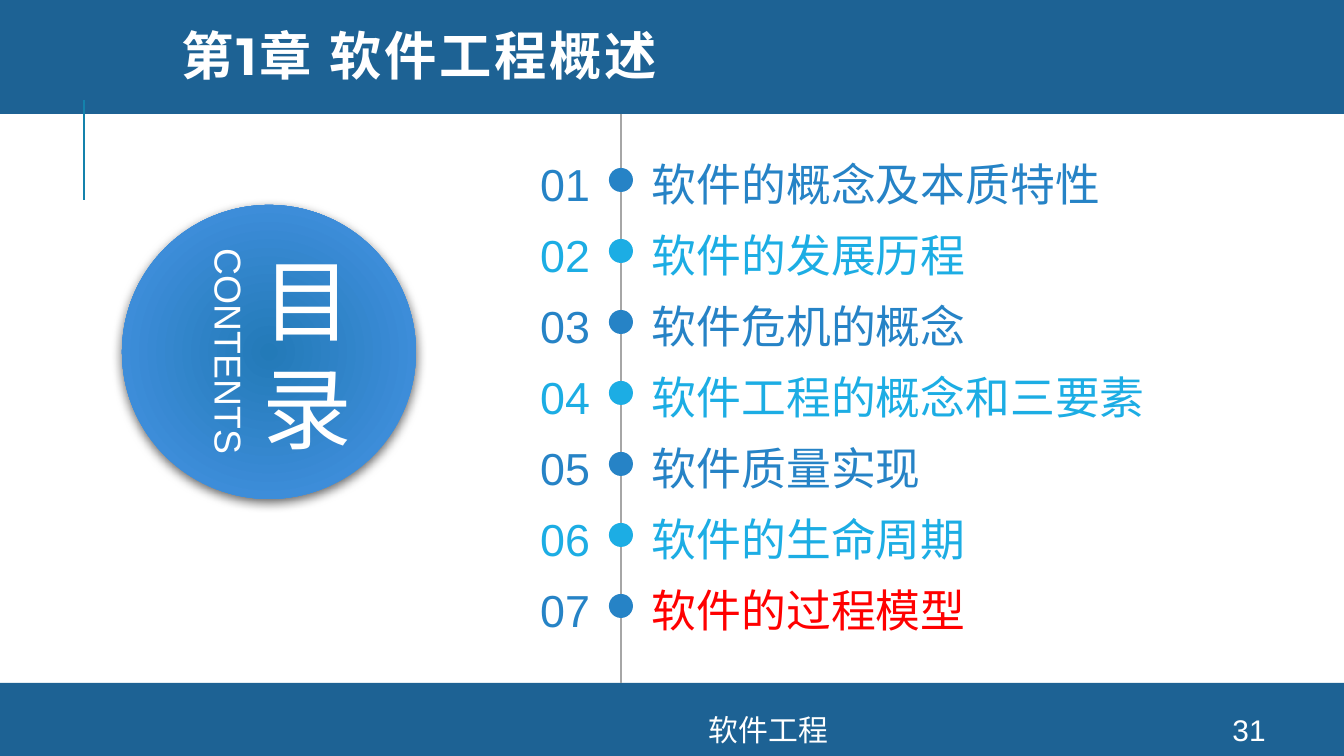
from lxml import etree
from pptx import Presentation
from pptx.dml.color import RGBColor
from pptx.enum.shapes import MSO_CONNECTOR, MSO_SHAPE
from pptx.enum.text import MSO_ANCHOR, MSO_AUTO_SIZE, PP_ALIGN
from pptx.oxml import parse_xml
from pptx.oxml.ns import nsdecls, qn
from pptx.util import Emu, Pt

# Content
TITLE = "第1章 软件工程概述"
CONTENTS = ["目", "录"]
CONTENTS_EN = "CONTENTS"
FOOTER = "软件工程"
PAGE = "31"
TOPICS = [
    "软件的概念及本质特性",
    "软件的发展历程",
    "软件危机的概念",
    "软件工程的概念和三要素",
    "软件质量实现",
    "软件的生命周期",
    "软件的过程模型",
]
CURRENT = 6  # index of the highlighted topic

# Style
WHITE = RGBColor(0xFF, 0xFF, 0xFF)
NAVY = RGBColor(0x1D, 0x62, 0x94)
TEAL = RGBColor(0x14, 0x82, 0xAC)
GREY = RGBColor(0xA6, 0xA6, 0xA6)
BLUE = RGBColor(0x26, 0x83, 0xC6)
CYAN = RGBColor(0x1C, 0xAD, 0xE4)
RED = RGBColor(0xFF, 0x00, 0x00)
RECT, OVAL = MSO_SHAPE.RECTANGLE, MSO_SHAPE.OVAL
LEFT, CENTER, RIGHT = PP_ALIGN.LEFT, PP_ALIGN.CENTER, PP_ALIGN.RIGHT
TOP, MIDDLE = MSO_ANCHOR.TOP, MSO_ANCHOR.MIDDLE

# Layout in px
ROW_TOP, ROW_STEP, ROW_H = 157, 71, 54
DOT, DOT_OFFSET = 24, 11

DISC_FILL = f"""<a:gradFill {nsdecls('a')} rotWithShape="1"><a:gsLst>
<a:gs pos="0"><a:srgbClr val="237AB8"/></a:gs>
<a:gs pos="100000"><a:srgbClr val="4895E7"/></a:gs></a:gsLst>
<a:path path="circle"><a:fillToRect l="50000" t="50000" r="50000" b="50000"/></a:path>
</a:gradFill>"""
DISC_SHADOW = f"""<a:outerShdw {nsdecls('a')} blurRad="{Pt(6)}" dist="{Pt(2)}" dir="5400000"
algn="t" rotWithShape="0"><a:srgbClr val="000000"><a:alpha val="60000"/></a:srgbClr></a:outerShdw>"""


def px(n):
    return Emu(round(n * 914400 / 134.4))


def box(*lengths):
    return [px(n) for n in lengths]


def add_filled(s, kind, at, color):
    sp = s.shapes.add_shape(kind, *box(*at))
    sp.shadow.inherit = False
    sp.fill.solid()
    sp.fill.fore_color.rgb = color
    sp.line.fill.background()
    return sp


def add_line(s, x, y1, y2, color):
    line = s.shapes.add_connector(MSO_CONNECTOR.STRAIGHT, *box(x, y1, x, y2))
    line.line.color.rgb = color
    line.line.width = Pt(1.5)
    etree.SubElement(line.element.spPr, qn("a:effectLst"))


def format_text(sp, size, color, align, anchor, font="Arial", spacing=0):
    tf = sp.text_frame
    tf.word_wrap = True
    tf.vertical_anchor = anchor
    for p in tf.paragraphs:
        p.alignment = align
        for r in p.runs:
            r.font.name = font
            r.font.size = Pt(size)
            r.font.color.rgb = color
    if spacing:
        for props in sp.element.iter(qn("a:rPr")):
            props.set("spc", str(round(spacing * 100)))


def add_text(s, at, text, size, color, align=CENTER, anchor=MIDDLE, spacing=0, inset=True):
    sp = s.shapes.add_textbox(*box(*at))
    tf = sp.text_frame
    tf.text = text
    if not inset:
        tf.margin_left = tf.margin_right = tf.margin_top = tf.margin_bottom = 0
    format_text(sp, size, color, align, anchor, spacing=spacing)
    return sp


prs = Presentation()
prs.slide_width, prs.slide_height = box(1344, 756)
s = prs.slides.add_slide(prs.slide_layouts[5])

# Bands and vertical lines
add_filled(s, RECT, (0, -4, 1344, 118), NAVY)
add_filled(s, RECT, (0, 683, 1344, 73), NAVY)
add_line(s, 84, 200, 100, TEAL)
add_line(s, 621, 114, 683, GREY)

# Contents disc
disc = add_filled(s, OVAL, (122, 205, 294, 294), BLUE)
props = disc.element.spPr
props.replace(props.find(qn("a:solidFill")), parse_xml(DISC_FILL))
props.find(qn("a:effectLst")).append(parse_xml(DISC_SHADOW))
add_text(s, (212, 217, 190, 271), "\n".join(CONTENTS), 48, WHITE, spacing=6, inset=False)
label = add_text(s, (87, 322, 284, 59), CONTENTS_EN, 20, WHITE, anchor=TOP)
label.rotation = 90

# Footer
add_text(s, (351, 714, 835, 31), FOOTER, 16, WHITE)
add_text(s, (1195, 714, 108, 31), PAGE, 16, WHITE)

# Topic rows
for i, topic in enumerate(TOPICS):
    y = ROW_TOP + i * ROW_STEP
    color = CYAN if i % 2 else BLUE
    add_filled(s, OVAL, (609, y + DOT_OFFSET, DOT, DOT), color)
    add_text(s, (511, y, 79, ROW_H), f"{i + 1:02d}", 24, color, RIGHT, TOP, inset=False)
    add_text(s, (652, y, 539, ROW_H), topic, 24, RED if i == CURRENT else color,
             LEFT, TOP, inset=False)

# Title, brought in front of the top band
title = s.shapes.title
title.left, title.top, title.width, title.height = box(168, 12, 1110, 97)
title.text_frame.text = TITLE
title.text_frame.auto_size = MSO_AUTO_SIZE.NONE
format_text(title, 28, WHITE, LEFT, MIDDLE, "Montserrat", 1.5)
p = title.text_frame.paragraphs[0]
p.line_spacing = 0.8
p.runs[0].font.bold = True
title.element.getparent().append(title.element)

prs.save("out.pptx")
